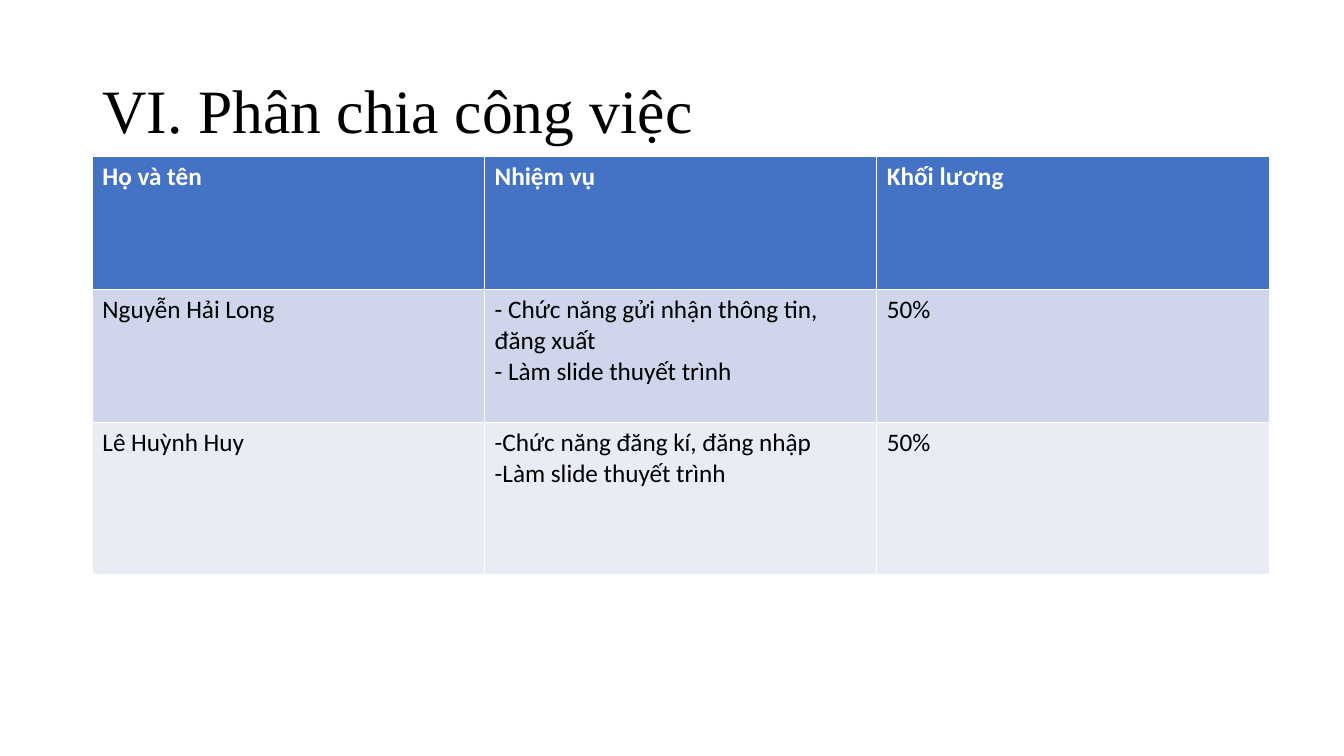
from pptx import Presentation
from pptx.dml.color import RGBColor
from pptx.enum.text import MSO_ANCHOR, PP_ALIGN
from pptx.util import Pt

TITLE = "VI. Phân chia công việc"
ASSIGNMENTS = [
    ("Họ và tên", "Nhiệm vụ", "Khối lương"),
    (
        "Nguyễn Hải Long",
        "- Chức năng gửi nhận thông tin, đăng xuất\n- Làm slide thuyết trình",
        "50%",
    ),
    (
        "Lê Huỳnh Huy",
        "-Chức năng đăng kí, đăng nhập\n-Làm slide thuyết trình",
        "50%",
    ),
]

THEME = {
    "title_font": "Times New Roman",
    "body_font": "Calibri",
    "title_size": 44,
    "body_size": 18,
    "text": "000000",
    "header_text": "FFFFFF",
    "header_fill": "4472C4",
    "band_fills": ("CFD5EA", "E9EBF5"),
}

SLIDE_SIZE = (960, 540)
LEFT = 66
TITLE_TOP, TITLE_WIDTH, TITLE_HEIGHT = 28.8, 828, 104.4
TABLE_TOP, COLUMN_WIDTH = 111.9, 280.2
ROW_HEIGHTS = (95, 95, 108.5)


def style_text(frame, font_name, size, color, bold=False):
    for paragraph in frame.paragraphs:
        for run in paragraph.runs:
            run.font.name = font_name
            run.font.size = Pt(size)
            run.font.bold = bold
            run.font.color.rgb = RGBColor.from_string(color)


def add_title(slide):
    title = slide.shapes.title
    title.left, title.top = Pt(LEFT), Pt(TITLE_TOP)
    title.width, title.height = Pt(TITLE_WIDTH), Pt(TITLE_HEIGHT)
    frame = title.text_frame
    frame.text = TITLE
    frame.vertical_anchor = MSO_ANCHOR.MIDDLE
    frame.paragraphs[0].alignment = PP_ALIGN.LEFT
    frame.paragraphs[0].line_spacing = 0.9
    style_text(frame, THEME["title_font"], THEME["title_size"], THEME["text"])


def add_assignments(slide):
    """Add the table; its default style draws the white cell borders."""
    column_count = len(ASSIGNMENTS[0])
    table = slide.shapes.add_table(
        len(ASSIGNMENTS), column_count, Pt(LEFT), Pt(TABLE_TOP),
        Pt(COLUMN_WIDTH * column_count), Pt(sum(ROW_HEIGHTS)),
    ).table
    for column in table.columns:
        column.width = Pt(COLUMN_WIDTH)
    for row_index, entries in enumerate(ASSIGNMENTS):
        table.rows[row_index].height = Pt(ROW_HEIGHTS[row_index])
        is_header = row_index == 0
        fill = THEME["header_fill"] if is_header else THEME["band_fills"][(row_index - 1) % 2]
        color = THEME["header_text"] if is_header else THEME["text"]
        for column_index, entry in enumerate(entries):
            cell = table.cell(row_index, column_index)
            cell.fill.solid()
            cell.fill.fore_color.rgb = RGBColor.from_string(fill)
            cell.text_frame.text = entry
            style_text(cell.text_frame, THEME["body_font"], THEME["body_size"], color, is_header)


def main():
    deck = Presentation()
    deck.slide_width, deck.slide_height = map(Pt, SLIDE_SIZE)
    slide = deck.slides.add_slide(deck.slide_layouts.get_by_name("Title Only"))
    add_title(slide)
    add_assignments(slide)
    deck.save("out.pptx")


if __name__ == "__main__":
    main()
